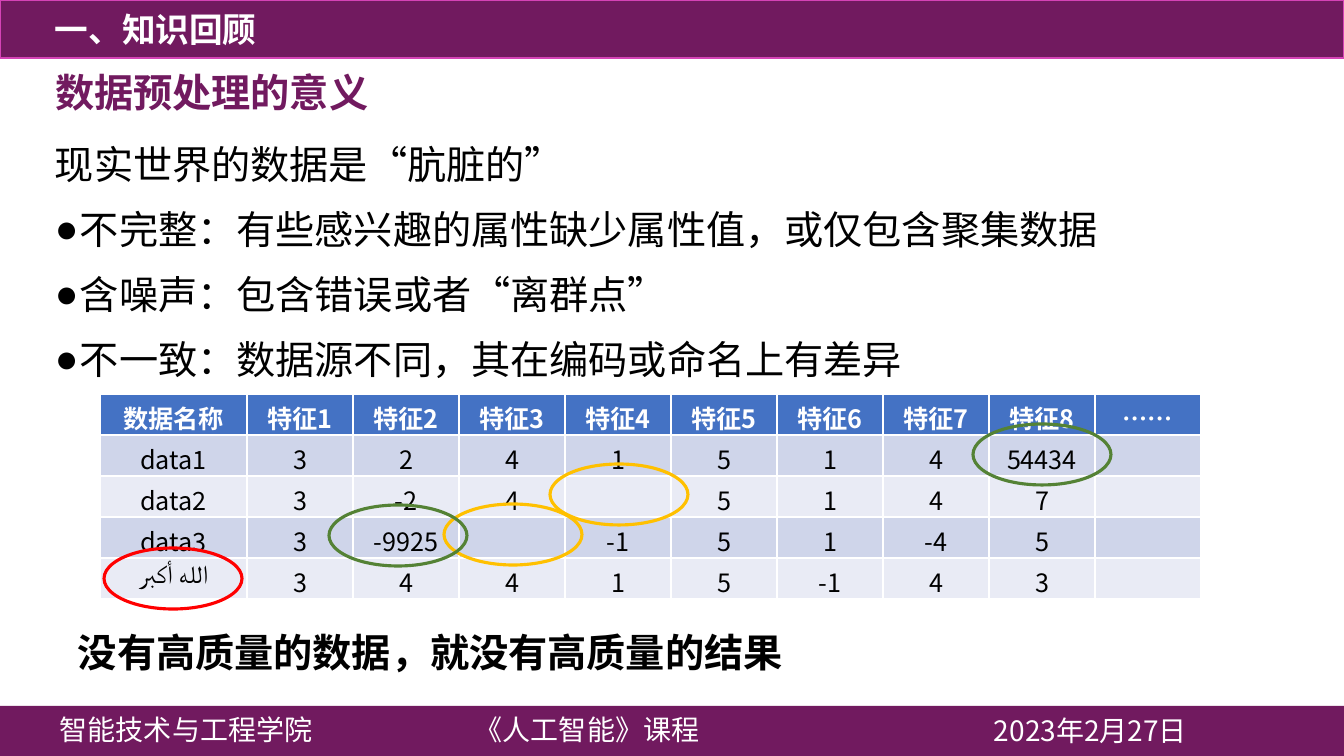
from dataclasses import dataclass

from lxml.etree import SubElement
from pptx import Presentation
from pptx.dml.color import RGBColor
from pptx.enum.shapes import MSO_SHAPE as Shape
from pptx.enum.text import MSO_ANCHOR as Anchor, MSO_AUTO_SIZE as AutoSize, PP_ALIGN as Align
from pptx.oxml.ns import qn
from pptx.util import Pt

PAGE_WIDTH, PAGE_HEIGHT = 1344, 756
TITLE_ONLY = 5


@dataclass(frozen=True)
class Theme:
    """Colours, font and type sizes of the page."""
    font: str = "Noto Sans CJK SC"
    purple: str = "711A5F"
    pink: str = "D543B6"
    white: str = "FFFFFF"
    black: str = "000000"
    header: str = "4472C4"
    bands: tuple = ("CFD5EA", "E9EBF5")
    yellow: str = "FFC000"
    green: str = "548235"
    red: str = "FF0000"
    body: int = 28
    section: int = 24
    footer: int = 20
    cell: int = 18


THEME = Theme()

STATEMENTS = [
    "现实世界的数据是“肮脏的”",
    "不完整：有些感兴趣的属性缺少属性值，或仅包含聚集数据",
    "含噪声：包含错误或者“离群点”",
    "不一致：数据源不同，其在编码或命名上有差异",
]

SAMPLES = [
    ["数据名称", *[f"特征{number}" for number in range(1, 9)], "……"],
    ["data1", "3", "2", "4", "1", "5", "1", "4", "54434", ""],
    ["data2", "3", "-2", "4", "", "5", "1", "4", "7", ""],
    ["data3", "3", "-9925", "", "-1", "5", "1", "-4", "5", ""],
    ["الله أكبر", "3", "4", "4", "1", "5", "-1", "4", "3", ""],
]

MARKS = [
    (550, 464, THEME.yellow),
    (444, 504, THEME.yellow),
    (973, 424, THEME.green),
    (104, 548, THEME.red),
    (329, 505, THEME.green),
]


def px(*lengths):
    """Turn pixel lengths into EMU."""
    values = [round(length * 914400 / 100.8) for length in lengths]
    return values[0] if len(values) == 1 else values


def colour(value):
    """Return the colour for a hex string."""
    return RGBColor.from_string(value)


def write(para, text, size=THEME.body, ink=THEME.black, bold=False,
          align=Align.LEFT, before=0, spacing=None):
    """Add formatted text to a paragraph."""
    para.alignment = align
    para.space_before = Pt(before)
    if spacing:
        para.line_spacing = spacing
    span = para.add_run()
    span.text = text
    span.font.name = THEME.font
    span.font.size = Pt(size)
    span.font.bold = bold
    span.font.color.rgb = colour(ink)
    SubElement(span.font._element, qn("a:ea"), typeface=THEME.font)


def add_bullet(para):
    """Give a paragraph a round bullet with a hanging indent."""
    properties = para._p.get_or_add_pPr()
    properties.set("marL", str(px(25)))
    properties.set("indent", str(px(-47)))
    SubElement(properties, qn("a:buFont"), typeface="Arial")
    SubElement(properties, qn("a:buChar"), char="●")


def add_tabs(para, *stops):
    """Set left tab stops on a paragraph."""
    tabs = SubElement(para._p.get_or_add_pPr(), qn("a:tabLst"))
    for stop in stops:
        SubElement(tabs, qn("a:tab"), pos=str(px(stop)), algn="l")


def add_box(page, left, top, width, height, wrap=True):
    """Add a text box and return its text frame."""
    frame = page.shapes.add_textbox(*px(left, top, width, height)).text_frame
    frame.word_wrap = wrap
    return frame


def add_bar(page, top, height, edge=None):
    """Add a purple bar across the page."""
    bar = page.shapes.add_shape(Shape.RECTANGLE, *px(0, top, PAGE_WIDTH, height))
    bar.shadow.inherit = False
    bar.fill.solid()
    bar.fill.fore_color.rgb = colour(THEME.purple)
    if edge:
        bar.line.color.rgb = colour(edge)
        bar.line.width = Pt(1)
    else:
        bar.line.fill.background()


def add_mark(page, left, top, ink):
    """Circle a faulty value with an outlined ellipse."""
    mark = page.shapes.add_shape(Shape.OVAL, *px(left, top, 138, 61))
    mark.shadow.inherit = False
    mark.fill.background()
    mark.line.color.rgb = colour(ink)
    mark.line.width = Pt(2.25)


def set_title(page, text):
    """Place and fill the title placeholder."""
    title = page.shapes.title
    title.left, title.top, title.width, title.height = px(45, 63, 339, 57)
    frame = title.text_frame
    frame.word_wrap = False
    frame.auto_size = AutoSize.NONE
    frame.vertical_anchor = Anchor.TOP
    write(frame.paragraphs[0], text, ink=THEME.purple, bold=True)


def add_statements(page):
    """Add the opening sentence and its bullet points."""
    frame = add_box(page, 45, 126, 1159, 264)
    for index, text in enumerate(STATEMENTS):
        para = frame.add_paragraph() if index else frame.paragraphs[0]
        if index:
            add_bullet(para)
        write(para, text, before=6 if index else 0, spacing=1.2)


def add_samples(page):
    """Add the table of sample data."""
    rows, columns = len(SAMPLES), len(SAMPLES[0])
    table = page.shapes.add_table(rows, columns, *px(100, 394, 1100, 205)).table
    for index, column in enumerate(table.columns):
        column.width = px(106 if index else 147)
    for index, (row, values) in enumerate(zip(table.rows, SAMPLES)):
        row.height = px(41)
        heading = index == 0
        fill = THEME.header if heading else THEME.bands[(index - 1) % 2]
        for cell, text in zip(row.cells, values):
            cell.margin_bottom = 0
            cell.fill.solid()
            cell.fill.fore_color.rgb = colour(fill)
            if text:
                write(cell.text_frame.paragraphs[0], text, THEME.cell, bold=heading,
                      ink=THEME.white if heading else THEME.black, align=Align.CENTER)


def add_footer(page):
    """Add the bottom bar with school, course and date."""
    add_bar(page, 706, 50)
    para = add_box(page, 0, 708, 1010, 44).paragraphs[0]
    add_tabs(para, 50, 465)
    write(para, "\t智能技术与工程学院\t《人工智能》课程", THEME.footer, THEME.white)
    date = add_box(page, 984, 709, 318, 44).paragraphs[0]
    write(date, "2023年2月27日", THEME.footer, THEME.white)


def main():
    """Build the page and save the deck."""
    deck = Presentation()
    deck.slide_width, deck.slide_height = px(PAGE_WIDTH, PAGE_HEIGHT)
    page = deck.slides.add_slide(deck.slide_layouts[TITLE_ONLY])
    add_footer(page)
    add_bar(page, 0, 58, THEME.pink)
    section = add_box(page, 45, 4, 224, 50, wrap=False)
    write(section.paragraphs[0], "一、知识回顾", THEME.section, THEME.white, bold=True)
    set_title(page, "数据预处理的意义")
    add_statements(page)
    add_samples(page)
    for left, top, ink in MARKS:
        add_mark(page, left, top, ink)
    conclusion = add_box(page, 68, 614, 835, 64)
    write(conclusion.paragraphs[0], "没有高质量的数据，就没有高质量的结果", bold=True, spacing=1.2)
    deck.save("out.pptx")


if __name__ == "__main__":
    main()
